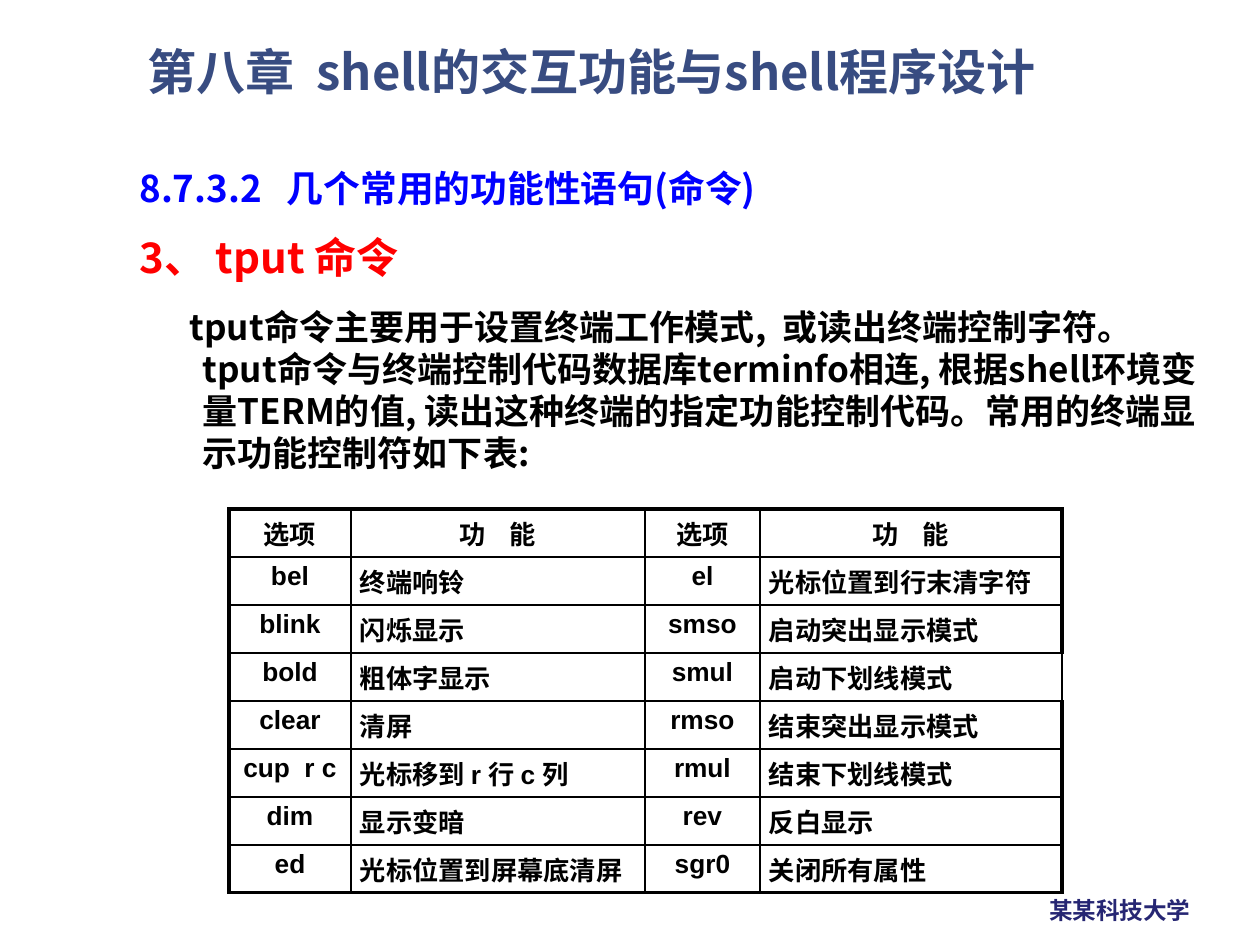
from lxml import etree
from pptx import Presentation
from pptx.dml.color import RGBColor
from pptx.enum.text import MSO_ANCHOR, MSO_AUTO_SIZE, PP_ALIGN
from pptx.oxml.ns import qn
from pptx.util import Emu, Pt

PX = 914400 / 126
LEFT, CENTER = PP_ALIGN.LEFT, PP_ALIGN.CENTER
TOP, MIDDLE = MSO_ANCHOR.TOP, MSO_ANCHOR.MIDDLE
NO_FIT = MSO_AUTO_SIZE.NONE
CJK = "Noto Sans CJK SC"
BLACK = "000000"
COLUMNS = [122, 294, 115, 302]
ROWS = [
    ("选项", "功    能", "选项", "功    能"),
    ("bel", "终端响铃", "el", "光标位置到行末清字符"),
    ("blink", "闪烁显示", "smso", "启动突出显示模式"),
    ("bold", "粗体字显示", "smul", "启动下划线模式"),
    ("clear", "清屏", "rmso", "结束突出显示模式"),
    ("cup  r c", "光标移到 r 行 c 列", "rmul", "结束下划线模式"),
    ("dim", "显示变暗", "rev", "反白显示"),
    ("ed", "光标位置到屏幕底清屏", "sgr0", "关闭所有属性"),
]
THIN_RIGHT_ROW = 3


def px(length):
    """Turn px into EMU."""
    return Emu(round(length * PX))


def color(value):
    """Turn a hex string into a colour."""
    return RGBColor.from_string(value)


def place(shape, box):
    """Move and size a shape to a box in px."""
    shape.left, shape.top, shape.width, shape.height = map(px, box)


def add_span(para, text, size, tint, font=CJK):
    """Add one bold run to a paragraph."""
    span = para.add_run()
    span.text = text
    span.font.size = Pt(size)
    span.font.bold = True
    span.font.name = font
    span.font.color.rgb = color(tint)
    east = etree.SubElement(span.font._element, qn("a:ea"))
    east.set("typeface", CJK)


def set_frame(frame, anchor, wrap=True):
    """Fix the anchor, wrapping and fit of a text frame."""
    frame.auto_size = NO_FIT
    frame.word_wrap = wrap
    frame.vertical_anchor = anchor


def add_title(page, box):
    """Fill the title placeholder."""
    title = page.shapes.title
    place(title, box)
    set_frame(title.text_frame, MIDDLE)
    para = title.text_frame.paragraphs[0]
    para.alignment = LEFT
    para.line_spacing = 0.9
    add_span(para, "第八章  shell的交互功能与shell程序设计", 28, "384C81")


def add_label(page, box, text, size, tint, spacing, wrap=True):
    """Add a one-line text box."""
    label = page.shapes.add_textbox(*map(px, box))
    set_frame(label.text_frame, TOP, wrap)
    para = label.text_frame.paragraphs[0]
    para.line_spacing = Pt(spacing)
    add_span(para, text, size, tint)


def format_body_para(para, indent, spacing):
    """Give a body paragraph a hanging indent and no bullet."""
    para.alignment = LEFT
    para.space_before = Pt(13)
    para.line_spacing = Pt(spacing)
    settings = para._p.get_or_add_pPr()
    settings.set("marL", str(px(63)))
    settings.set("indent", str(px(indent)))
    etree.SubElement(settings, qn("a:buNone"))


def add_body(page, box):
    """Fill the body placeholder with the command and its explanation."""
    body = page.placeholders[1]
    place(body, box)
    frame = body.text_frame
    set_frame(frame, TOP)
    heading = frame.paragraphs[0]
    format_body_para(heading, -63, 32)
    add_span(heading, "3、 tput 命令", 24, "FF0000")
    detail = frame.add_paragraph()
    format_body_para(detail, -13, 24)
    add_span(
        detail,
        "tput命令主要用于设置终端工作模式,  或读出终端控制字符。  "
        "tput命令与终端控制代码数据库terminfo相连, 根据shell环境变量TERM的值, "
        "读出这种终端的指定功能控制代码。常用的终端显示功能控制符如下表:",
        20,
        BLACK,
    )


def set_borders(cell, widths):
    """Draw the left, right, top and bottom borders of a cell."""
    settings = cell._tc.get_or_add_tcPr()
    for side, width in zip("LRTB", widths):
        line = etree.SubElement(settings, qn(f"a:ln{side}"), w=str(Pt(width)))
        fill = etree.SubElement(line, qn("a:solidFill"))
        etree.SubElement(fill, qn("a:srgbClr"), val=BLACK)


def add_options_table(page, box):
    """Add the table of terminal control options."""
    last_row, last_column = len(ROWS) - 1, len(COLUMNS) - 1
    table = page.shapes.add_table(len(ROWS), len(COLUMNS), *map(px, box)).table
    table.first_row = table.horz_banding = False
    for column, width in zip(table.columns, COLUMNS):
        column.width = px(width)
    for i, texts in enumerate(ROWS):
        table.rows[i].height = px(box[3] // len(ROWS))
        for j, text in enumerate(texts):
            cell = table.cell(i, j)
            outer = (
                j == 0,
                j == last_column and i != THIN_RIGHT_ROW,
                i == 0,
                i == last_row,
            )
            set_borders(cell, [2.25 if edge else 1 for edge in outer])
            cell.fill.background()
            cell.margin_left = cell.margin_right = px(9)
            cell.margin_top = cell.margin_bottom = px(5)
            para = cell.text_frame.paragraphs[0]
            para.alignment = CENTER if i == 0 or j % 2 == 0 else LEFT
            add_span(para, text, 15, BLACK, "Arial")


def main():
    """Build the slide and save it."""
    deck = Presentation()
    deck.slide_width, deck.slide_height = px(1260), px(945)
    page = deck.slides.add_slide(deck.slide_layouts[1])
    add_title(page, (135, 45, 963, 60))
    add_body(page, (127, 220, 1085, 686))
    add_options_table(page, (229, 509, 833, 348))
    add_label(page, (127, 156, 698, 57), "8.7.3.2   几个常用的功能性语句(命令)", 21, "0000FF", 27)
    add_label(page, (1037, 888, 169, 42), "某某科技大学", 13.5, "262673", 17, False)
    deck.save("out.pptx")


if __name__ == "__main__":
    main()
